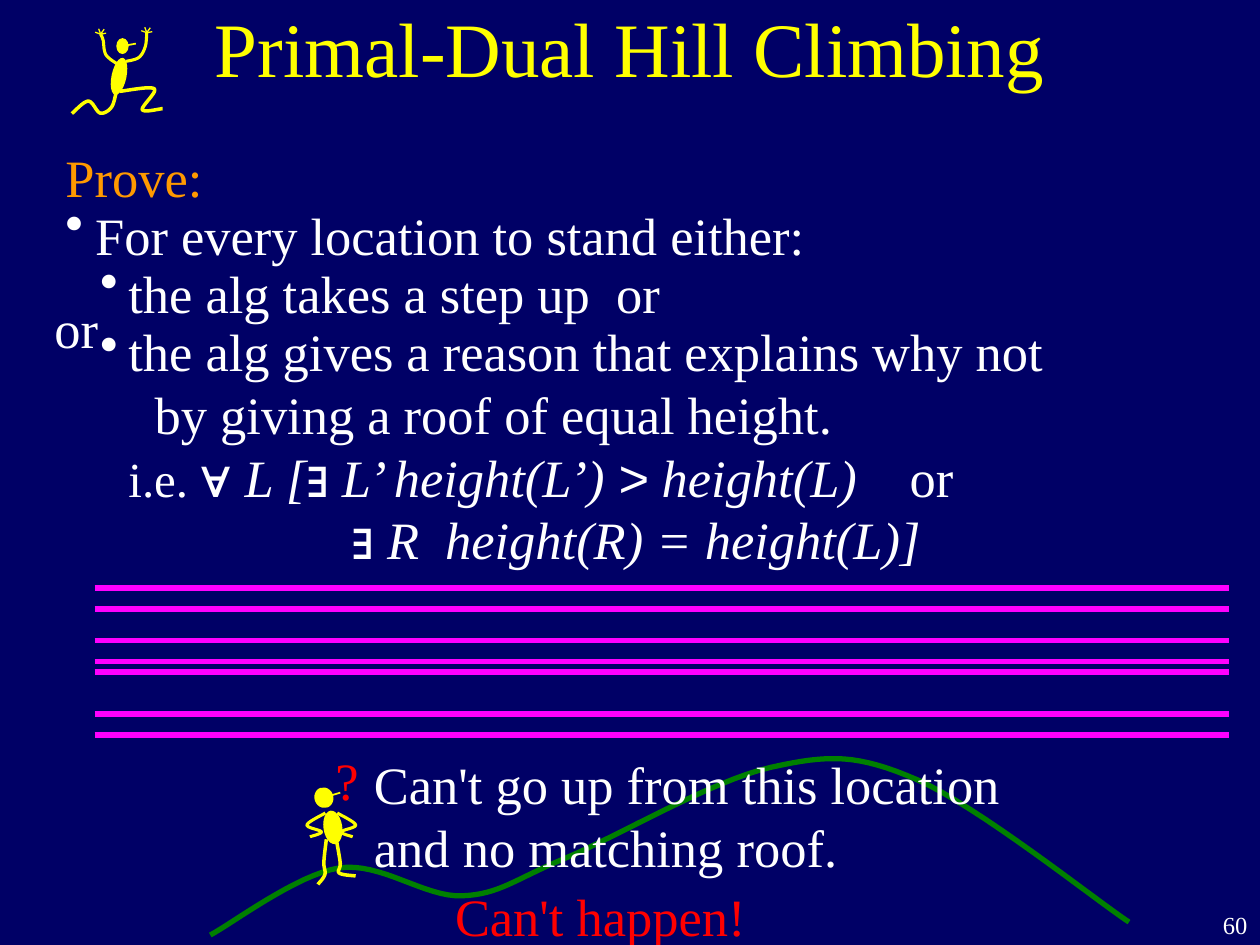
from dataclasses import dataclass

from lxml import etree
from pptx import Presentation
from pptx import util as u
from pptx.dml.color import RGBColor
from pptx.enum import shapes, text
from pptx.oxml import ns

COLORS = {"navy": "000066", "white": "FFFFFF", "yellow": "FFFF00", "orange": "FF9900",
          "red": "FF0000", "green": "008000", "magenta": "FF00FF"}
SERIF, SANS = "Times New Roman", "Arial"
LEFT, CENTER, RIGHT = text.PP_ALIGN.LEFT, text.PP_ALIGN.CENTER, text.PP_ALIGN.RIGHT
Point = tuple[float, float]


@dataclass
class Run:
    text: str
    italic: bool = False
    font: str = SERIF
    size: float = 30
    color: str = "white"
    spread: float = 0


@dataclass
class Para:
    runs: list[Run]
    left: float = 0
    hang: float = 0
    tight: bool = False


@dataclass
class Label:
    text: str
    x: float
    y: float
    w: float
    h: float
    color: str = "white"
    size: float = 30
    align: text.PP_ALIGN = CENTER
    inset: float = 0


@dataclass
class Oval:
    center: Point
    w: float
    h: float
    tilt: float = 0


@dataclass
class Figure:
    origin: Point
    head: Oval
    nose: Point
    torso: Oval
    arms: list[list[Point]]
    legs: list[list[Point]]
    open_hands: bool = False


def mirror(points: list[Point], axis: float) -> list[Point]:
    return [(2 * axis - x, y) for x, y in points]


LABELS = [
    Label("or", 0.84, 5.84, 1.4, 1.52),
    Label("Can't go up from this location\nand no matching roof.", 7.29, 15.04, 13.54, 2.82,
          align=LEFT),
    Label("Can't happen!", 8.89, 17.7, 6.43, 1.55, "red"),
    Label("?", 6.5, 14.94, 0.99, 1.52, "red"),
    Label("60", 24.13, 18.21, 1.27, 0.84, size=14, align=RIGHT, inset=0.13),
]

PROOF = [
    Para([Run("Prove:", color="orange")], tight=True),
    Para([Run("For every location to stand either:")], 0.6, 0.6, True),
    Para([Run("the alg takes a step up  or")], 1.27, 0.57, True),
    Para([Run("the alg gives a reason that explains why not\n  by giving a roof of equal height.")],
         1.27, 0.57),
    Para([Run("i.e. ", size=28), Run("∀", True, SANS), Run(" L [", True), Run("∃", True, SANS),
          Run(" L’ height(L’) ", True), Run(">", True, SANS), Run(" height(L)", True),
          Run(" ", spread=22.5), Run("or")], 1.27),
    Para([Run("∃", True, SANS), Run(" R  height(R) = height(L)]", True)], 5.77, tight=True),
]

ROOF_STEP = 2.54 / 12
ROOF_ROWS = [70, 68, 64, 63, 61, 58, 56]

HILL_START, LOW_PEAK, VALLEY, SLOPE = (4.24, 18.85), (6.83, 17.5), (9.32, 18.06), (11.4, 17.3)
SHOULDER, HIGH_SIDE, HILL_END = (15.54, 15.47), (18.49, 15.72), (22.76, 18.59)
HILL = [HILL_START, LOW_PEAK, VALLEY, SLOPE, SHOULDER, HIGH_SIDE, HILL_END]

CLIMBER = Figure(
    origin=(1.42, 0.56),
    head=Oval((1.05, 0.37), 0.25, 0.32), nose=(1.32, 0.32),
    torso=Oval((0.98, 0.98), 0.3, 0.76, 12),
    arms=[[(0.99, 0.76), (0.72, 0.55), (0.66, 0.25), (0.61, 0.13)],
          [(1.12, 0.68), (1.38, 0.6), (1.51, 0.38), (1.54, 0.1)]],
    legs=[[(0.93, 1.27), (0.83, 1.6), (0.6, 1.72), (0.36, 1.48), (0.03, 1.73)],
          [(1.0, 1.28), (1.69, 1.23), (1.45, 1.65), (1.86, 1.63)]],
    open_hands=True)

ARM_ON_HIP = [(0.41, 0.51), (0.04, 0.75), (0.33, 0.89), (0.1, 0.99)]
THINKER = Figure(
    origin=(6.15, 15.88),
    head=Oval((0.38, 0.2), 0.38, 0.42, -20), nose=(0.71, 0.1),
    torso=Oval((0.56, 0.8), 0.38, 0.68, -8),
    arms=[ARM_ON_HIP, mirror(ARM_ON_HIP, 0.53)],
    legs=[[(0.43, 1.04), (0.38, 1.5), (0.4, 1.75), (0.26, 1.95)],
          [(0.63, 1.04), (0.71, 1.52), (0.69, 1.72), (1.02, 1.78)]])


def rgb(name: str) -> RGBColor:
    return RGBColor.from_string(COLORS[name])


def write(p, content: str, *, size=30, color="white", font=SERIF, italic=False, spread=0) -> None:
    for i, line in enumerate(content.split("\n")):
        if i:
            p.add_line_break()
        r = p.add_run()
        r.text = line
        r.font.size, r.font.name, r.font.italic = u.Pt(size), font, italic
        r.font.color.rgb = rgb(color)
        if spread:
            r.font._element.set("spc", str(int(spread * 100)))


def add_box(s, x: float, y: float, w: float, h: float, wrap: bool = False):
    tf = s.shapes.add_textbox(u.Cm(x), u.Cm(y), u.Cm(w), u.Cm(h)).text_frame
    tf.word_wrap = wrap
    return tf


def add_label(s, label: Label) -> None:
    tf = add_box(s, label.x, label.y, label.w, label.h)
    tf.margin_top = u.Cm(label.inset or 0.13)
    p = tf.paragraphs[0]
    p.alignment = label.align
    write(p, label.text, size=label.size, color=label.color)


def add_para(p, para: Para) -> None:
    if para.tight:
        p.line_spacing, p.space_before = 0.5, u.Pt(15)
    pPr = p._p.get_or_add_pPr()
    pPr.set("marL", str(u.Cm(para.left)))
    pPr.set("indent", str(-u.Cm(para.hang)))
    if para.hang:
        etree.SubElement(pPr, ns.qn("a:buChar")).set("char", "•")
    for r in para.runs:
        write(p, r.text, size=r.size, color=r.color, font=r.font, italic=r.italic, spread=r.spread)


def smooth(knots: list[Point], steps: int = 16) -> list[Point]:
    padded = [knots[0], *knots, knots[-1]]
    curve = [knots[0]]
    for a, b, c, d in zip(padded, padded[1:], padded[2:], padded[3:]):
        for t in (k / steps for k in range(1, steps + 1)):
            curve.append(tuple(
                (2 * q + (r - p) * t + (2 * p - 5 * q + 4 * r - v) * t ** 2
                 + (3 * q - p - 3 * r + v) * t ** 3) / 2
                for p, q, r, v in zip(a, b, c, d)))
    return curve


def add_stroke(s, points: list[Point], color: str, width: float, origin: Point = (0, 0)) -> None:
    path = [(u.Cm(origin[0] + x), u.Cm(origin[1] + y)) for x, y in points]
    fb = s.shapes.build_freeform(*path[0], scale=1.0)
    fb.add_line_segments(path[1:], close=False)
    sp = fb.convert_to_shape()
    sp.shadow.inherit = False
    sp.fill.background()
    sp.line.color.rgb, sp.line.width = rgb(color), u.Pt(width)


def add_oval(s, oval: Oval, origin: Point) -> None:
    x, y = origin[0] + oval.center[0] - oval.w / 2, origin[1] + oval.center[1] - oval.h / 2
    sp = s.shapes.add_shape(shapes.MSO_SHAPE.OVAL, u.Cm(x), u.Cm(y), u.Cm(oval.w), u.Cm(oval.h))
    sp.rotation = oval.tilt
    sp.shadow.inherit = False
    sp.fill.solid()
    sp.fill.fore_color.rgb = rgb("yellow")
    sp.line.fill.background()


def add_figure(s, fig: Figure) -> None:
    add_oval(s, fig.head, fig.origin)
    add_oval(s, fig.torso, fig.origin)
    add_stroke(s, [fig.head.center, fig.nose], "yellow", 1, fig.origin)
    for limbs, width in ((fig.arms, 1.75), (fig.legs, 2)):
        for joints in limbs:
            add_stroke(s, smooth(joints), "yellow", width, fig.origin)
    if fig.open_hands:
        for x, y in (arm[-1] for arm in fig.arms):
            for dx, dy in ((-0.11, -0.04), (-0.04, -0.11), (0.07, -0.1), (0.11, -0.02)):
                add_stroke(s, [(x, y), (x + dx, y + dy)], "yellow", 0.75, fig.origin)


def add_roof(s, y: float) -> None:
    c = s.shapes.add_connector(shapes.MSO_CONNECTOR.STRAIGHT,
                               u.Cm(1.91), u.Cm(y), u.Cm(24.77), u.Cm(y))
    c.line.color.rgb, c.line.width = rgb("magenta"), u.Pt(3)
    etree.SubElement(c._element.spPr, ns.qn("a:effectLst"))


def main() -> None:
    prs = Presentation()
    prs.slide_width, prs.slide_height = u.Cm(25.4), u.Cm(19.05)
    s = prs.slides.add_slide(prs.slide_layouts[5])
    s.background.fill.solid()
    s.background.fill.fore_color.rgb = rgb("navy")
    title = s.shapes.title
    title.left, title.top, title.width, title.height = map(u.Cm, (1.91, -0.64, 21.59, 3.18))
    title.text_frame.vertical_anchor = text.MSO_ANCHOR.MIDDLE
    p = title.text_frame.paragraphs[0]
    p.alignment = CENTER
    write(p, "Primal-Dual Hill Climbing", size=44, color="yellow")
    add_stroke(s, smooth(HILL), "green", 3)
    for row in ROOF_ROWS:
        add_roof(s, row * ROOF_STEP)
    tf = add_box(s, 1.07, 3.35, 20.83, 8.69, wrap=True)
    for i, para in enumerate(PROOF):
        add_para(tf.add_paragraph() if i else tf.paragraphs[0], para)
    for fig in (CLIMBER, THINKER):
        add_figure(s, fig)
    for label in LABELS:
        add_label(s, label)
    prs.save("out.pptx")


if __name__ == "__main__":
    main()
